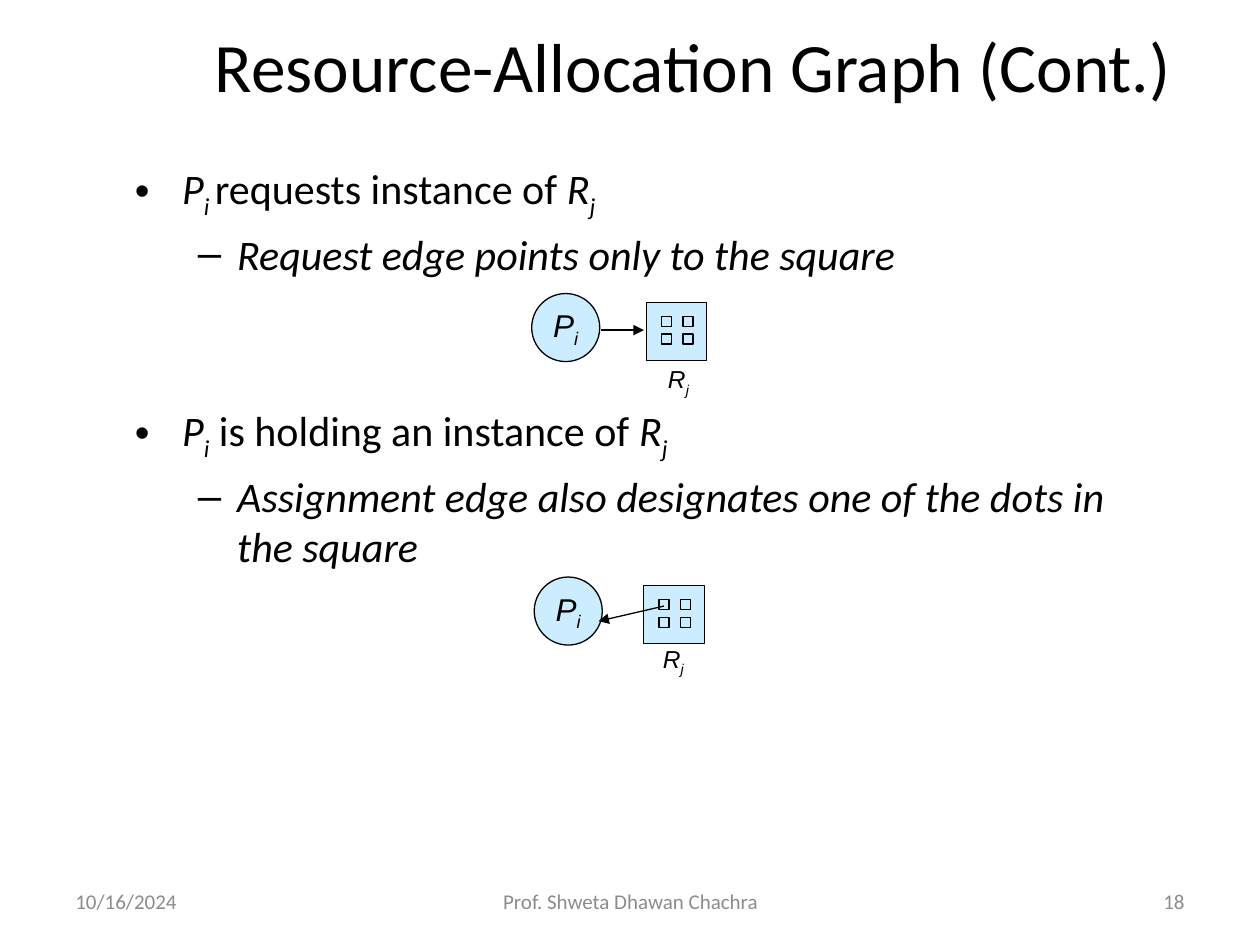
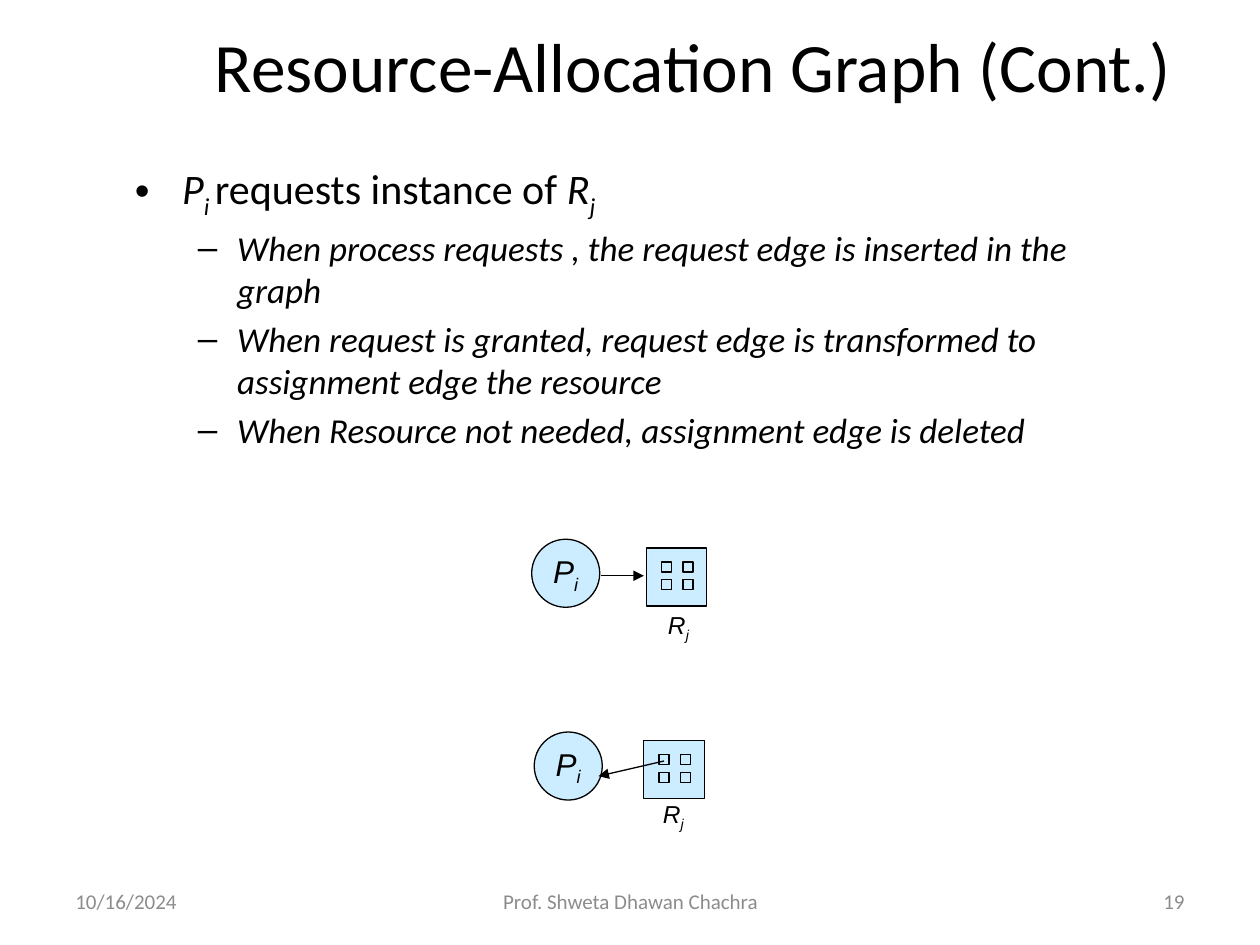
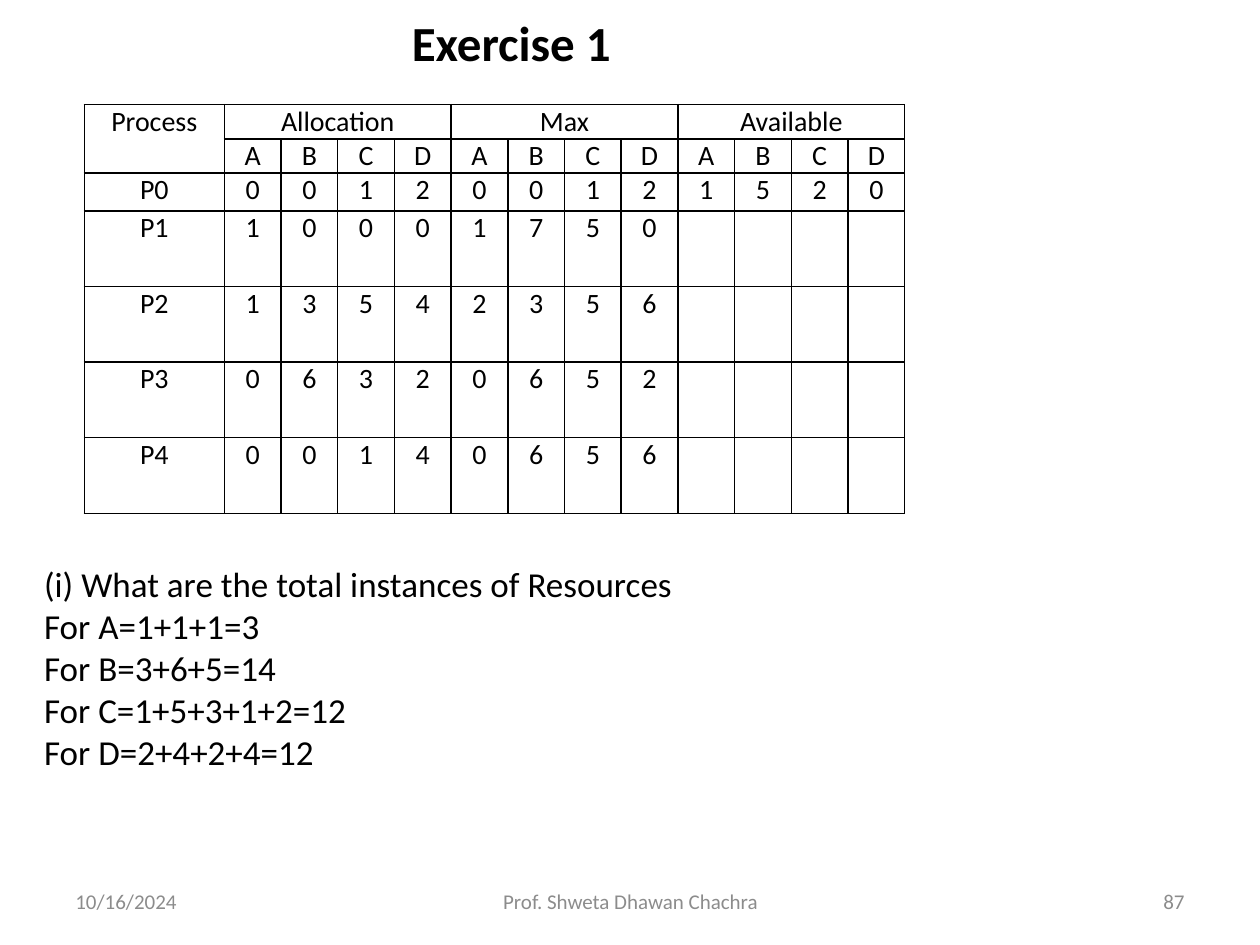
from dataclasses import dataclass
from itertools import product

from lxml import etree
from pptx import Presentation
from pptx.dml.color import RGBColor
from pptx.enum.shapes import MSO_CONNECTOR, MSO_SHAPE
from pptx.enum.text import MSO_ANCHOR, MSO_AUTO_SIZE, PP_ALIGN
from pptx.oxml import parse_xml
from pptx.oxml.ns import nsdecls, qn
from pptx.util import Inches, Pt

LEFT, CENTER, RIGHT = PP_ALIGN.LEFT, PP_ALIGN.CENTER, PP_ALIGN.RIGHT
MIDDLE = MSO_ANCHOR.MIDDLE
NO_FIT = MSO_AUTO_SIZE.NONE
OVAL, RECTANGLE = MSO_SHAPE.OVAL, MSO_SHAPE.RECTANGLE
CONTENT_LAYOUT, TITLE_ONLY_LAYOUT = 1, 5


@dataclass(frozen=True)
class Theme:
    ink: RGBColor = RGBColor(0, 0, 0)
    muted: RGBColor = RGBColor(0x8C, 0x8C, 0x8C)
    node: RGBColor = RGBColor(0xCC, 0xEC, 0xFF)
    text_font: str = "Calibri"
    graph_font: str = "Arial"
    title: float = 39.6
    heading: int = 28
    bullet: int = 24
    detail: int = 20
    process: int = 18
    cell: int = 16
    resource: int = 14
    footer: int = 12
    line: float = 0.75
    border: int = 1


THEME = Theme()

# Content: a span is (text, style), a bullet is (level, size, space before, spans)
PLAIN, ITALIC, SUBSCRIPT = "plain", "italic", "subscript"
PROCESS = [("P", ITALIC), ("i", SUBSCRIPT)]
RESOURCE = [("R", ITALIC), ("j", SUBSCRIPT)]
REQUEST = (0, THEME.bullet, None,
           [("P", ITALIC), ("i ", SUBSCRIPT), ("requests instance of ", PLAIN), *RESOURCE])
HOLDING = (0, THEME.bullet, 72, [*PROCESS, (" is holding an instance of ", PLAIN), *RESOURCE])


def detail(text, size):
    return 1, size, None, [(text, ITALIC)]


GRAPH_TITLE = "Resource-Allocation Graph (Cont.)"
GRAPH_PAGES = [
    {
        "number": "18",
        "bullets": [
            REQUEST,
            detail("Request edge points only to the square", THEME.bullet),
            HOLDING,
            detail("Assignment edge also designates one of the dots in the square", THEME.bullet),
        ],
        "request_top": 2.33,
        "assignment_top": 4.58,
    },
    {
        "number": "19",
        "bullets": [
            REQUEST,
            detail("When process requests , the request edge is inserted in the graph", THEME.detail),
            detail("When request is granted, request edge is transformed to assignment edge the resource",
                   THEME.detail),
            detail("When Resource not needed, assignment edge is deleted", THEME.detail),
        ],
        "request_top": 4.28,
        "assignment_top": 5.81,
    },
]

# Graph parts: x is absolute, y is measured from the top of the process circle
REQUEST_GRAPH = {"process": 4.22, "resource": 5.13, "label": (5.2, 0.53),
                 "edge": ((4.77, 0.29), (5.11, 0.29))}
ASSIGNMENT_GRAPH = {"process": 4.24, "resource": 5.11, "label": (5.16, 0.5),
                    "edge": ((5.27, 0.23), (4.75, 0.35))}

EXERCISE_NUMBER = "87"
EXERCISE_HEADING = "Exercise 1"
ANSWER_LINES = [
    "(i) What are the total instances of Resources",
    "For A=1+1+1=3",
    "For B=3+6+5=14",
    "For C=1+5+3+1+2=12",
    "For D=2+4+2+4=12",
]
RESOURCES = "ABCD"
GROUPS = ["Allocation", "Max", "Available"]
PROCESSES = [
    ("P0", "0012", "0012", "1520"),
    ("P1", "1000", "1750", ""),
    ("P2", "1354", "2356", ""),
    ("P3", "0632", "0652", ""),
    ("P4", "0014", "0656", ""),
]
COLUMN_WIDTHS = [1.11] + [0.45] * len(RESOURCES) * len(GROUPS)
ROW_HEIGHTS = [0.2, 0.2, 0.3] + [0.6] * 4

FOOTERS = [(0.5, 2.33, LEFT, "10/16/2024"), (3.42, 3.17, CENTER, "Prof. Shweta Dhawan Chachra")]
NUMBER_PLACE = (7.17, 2.33, RIGHT)


# Text helpers
def format_span(span, size, font=THEME.text_font, color=THEME.ink, bold=None):
    span.font.name = font
    span.font.size = Pt(size)
    span.font.color.rgb = color
    span.font.bold = bold


def add_spans(para, spans, size, font=THEME.text_font):
    for text, style in spans:
        span = para.add_run()
        span.text = text
        format_span(span, size, font)
        span.font.italic = style != PLAIN
        if style == SUBSCRIPT:
            span._r.get_or_add_rPr().set("baseline", "-25000")


def place(shape, left, top, width, height):
    shape.left, shape.top = Inches(left), Inches(top)
    shape.width, shape.height = Inches(width), Inches(height)


def add_text(page, area, text, size, align=LEFT, color=THEME.ink, bold=None, wrap=True):
    box = page.shapes.add_textbox(*map(Inches, area))
    frame = box.text_frame
    frame.word_wrap = wrap
    frame.text = text
    frame.paragraphs[0].alignment = align
    format_span(frame.paragraphs[0].runs[0], size, color=color, bold=bold)
    return frame


def set_title(page, text, area, size, align):
    title = page.shapes.title
    place(title, *area)
    frame = title.text_frame
    frame.text = text
    frame.auto_size = NO_FIT
    frame.vertical_anchor = MIDDLE
    frame.paragraphs[0].alignment = align
    for span in frame.paragraphs[0].runs:
        format_span(span, size)


def add_footers(page, number):
    for left, width, align, text in [*FOOTERS, (*NUMBER_PLACE, number)]:
        frame = add_text(page, (left, 6.95, width, 0.4), text, THEME.footer, align, THEME.muted)
        frame.vertical_anchor = MIDDLE


def add_bullets(page, bullets):
    body = page.placeholders[1]
    place(body, 0.97, 1.24, 8.03, 4.95)
    frame = body.text_frame
    frame.auto_size = NO_FIT
    for index, (level, size, space, spans) in enumerate(bullets):
        para = frame.add_paragraph() if index else frame.paragraphs[0]
        para.level = level
        if space:
            para.space_before = Pt(space)
        add_spans(para, spans, size)


# Graph helpers
def add_node(shapes, kind, left, top, width, height):
    node = shapes.add_shape(kind, *map(Inches, (left, top, width, height)))
    node.shadow.inherit = False
    node.fill.solid()
    node.fill.fore_color.rgb = THEME.node
    node.line.color.rgb = THEME.ink
    node.line.width = Pt(THEME.line)
    return node


def add_label(shape, spans, size):
    frame = shape.text_frame
    frame.word_wrap = False
    frame.vertical_anchor = MIDDLE
    frame.paragraphs[0].alignment = CENTER
    add_spans(frame.paragraphs[0], spans, size, THEME.graph_font)


def add_edge(page, start, end):
    edge = page.shapes.add_connector(MSO_CONNECTOR.STRAIGHT, *map(Inches, (*start, *end)))
    edge.line.color.rgb = THEME.ink
    edge.line.width = Pt(THEME.line)
    etree.SubElement(edge.line._get_or_add_ln(), qn("a:tailEnd"), type="triangle")
    etree.SubElement(edge._element.spPr, qn("a:effectLst"))


def add_graph(page, graph, top):
    circle = add_node(page.shapes, OVAL, graph["process"], top, 0.54, 0.54)
    add_label(circle, PROCESS, THEME.process)

    # Resource square with a two by two grid of instances
    square = page.shapes.add_group_shape().shapes
    left, square_top = graph["resource"], top + 0.07
    add_node(square, RECTANGLE, left, square_top, 0.48, 0.46)
    for row, column in product(range(2), repeat=2):
        add_node(square, RECTANGLE, left + 0.12 + 0.17 * column,
                 square_top + 0.11 + 0.14 * row, 0.08, 0.08)

    add_edge(page, *[(x, top + y) for x, y in graph["edge"]])
    label_left, label_offset = graph["label"]
    label = page.shapes.add_textbox(*map(Inches, (label_left, top + label_offset, 0.37, 0.33)))
    add_label(label, RESOURCE, THEME.resource)


# Table helpers
def format_cell(cell, text):
    cell.margin_left = cell.margin_right = Inches(0.07)
    cell.margin_top = cell.margin_bottom = 0
    properties = cell._tc.get_or_add_tcPr()
    for side in ("lnL", "lnR", "lnT", "lnB"):
        properties.append(parse_xml(
            f'<a:{side} {nsdecls("a")} w="{Pt(THEME.border)}"><a:solidFill>'
            f'<a:srgbClr val="{THEME.ink}"/></a:solidFill></a:{side}>'))
    cell.fill.background()
    if text:
        cell.text = text
        para = cell.text_frame.paragraphs[0]
        para.alignment = CENTER
        format_span(para.runs[0], THEME.cell)


def add_process_table(page):
    step = len(RESOURCES)
    group_row = ["Process"]
    for group in GROUPS:
        group_row += [group] + [""] * (step - 1)
    rows = [group_row, ["", *RESOURCES * len(GROUPS)]]
    for name, *values in PROCESSES:
        rows.append([name] + [digit for group in values for digit in group.ljust(step)])

    frame = page.shapes.add_table(len(rows), len(COLUMN_WIDTHS), Inches(0.67), Inches(0.83),
                                  Inches(sum(COLUMN_WIDTHS)), Inches(sum(ROW_HEIGHTS)))
    table = frame.table
    table.first_row = table.horz_banding = False
    for column, width in zip(table.columns, COLUMN_WIDTHS):
        column.width = Inches(width)
    for row, height, texts in zip(table.rows, ROW_HEIGHTS, rows):
        row.height = Inches(height)
        for cell, text in zip(row.cells, texts):
            format_cell(cell, text.strip())
    table.cell(0, 0).merge(table.cell(1, 0))
    for first in range(1, len(COLUMN_WIDTHS), step):
        table.cell(0, first).merge(table.cell(0, first + step - 1))


# Pages
def add_graph_page(deck, content):
    page = deck.slides.add_slide(deck.slide_layouts[CONTENT_LAYOUT])
    set_title(page, GRAPH_TITLE, (1.23, 0.2, 8.54, 0.63), THEME.title, CENTER)
    add_bullets(page, content["bullets"])
    add_graph(page, REQUEST_GRAPH, content["request_top"])
    add_graph(page, ASSIGNMENT_GRAPH, content["assignment_top"])
    add_footers(page, content["number"])


def add_exercise_page(deck):
    page = deck.slides.add_slide(deck.slide_layouts[TITLE_ONLY_LAYOUT])
    set_title(page, "\v".join(ANSWER_LINES), (0.25, 4.67, 9, 1.25), THEME.detail, LEFT)
    add_process_table(page)
    add_footers(page, EXERCISE_NUMBER)
    add_text(page, (3.17, 0.05, 1.8, 0.57), EXERCISE_HEADING, THEME.heading, bold=True, wrap=False)


def main():
    deck = Presentation()
    deck.slide_width, deck.slide_height = Inches(10), Inches(7.5)
    for content in GRAPH_PAGES:
        add_graph_page(deck, content)
    add_exercise_page(deck)
    deck.save("out.pptx")


if __name__ == "__main__":
    main()
